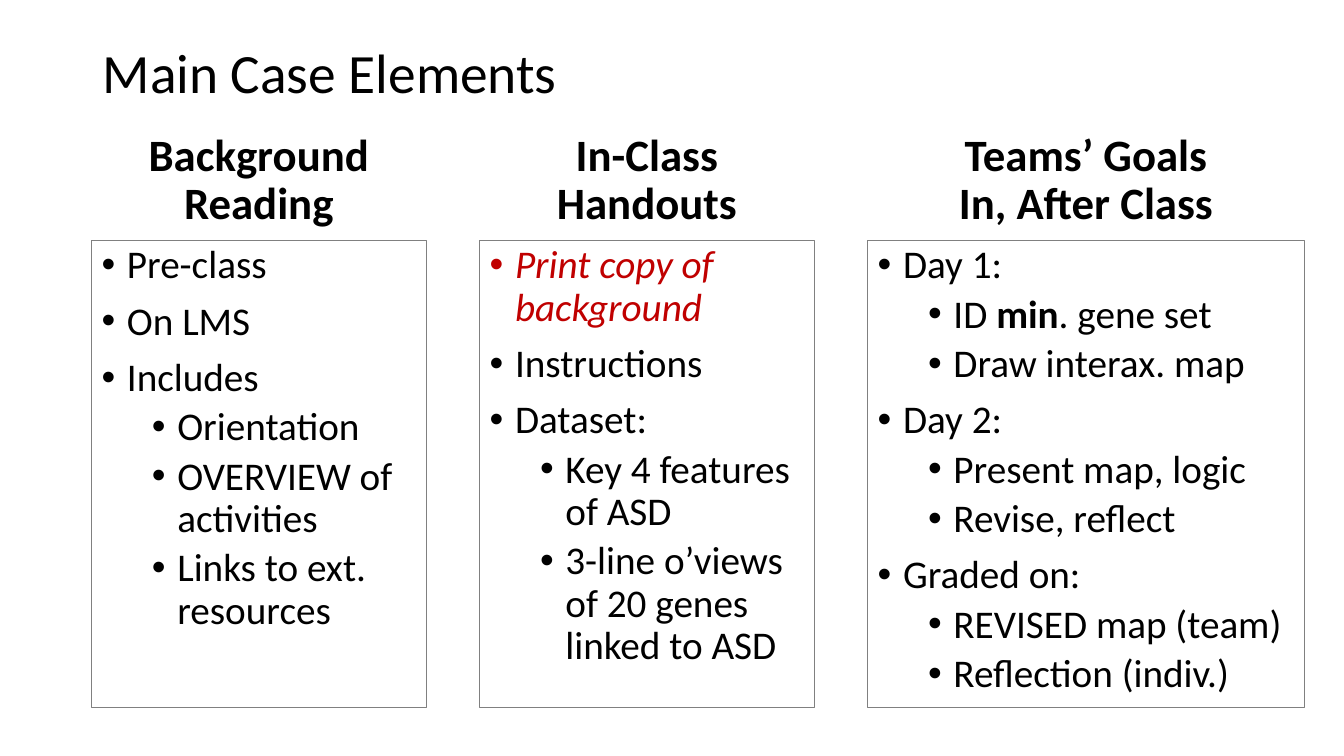
import lxml.etree
import pptx
import pptx.dml.color
import pptx.enum.shapes
import pptx.enum.text
import pptx.oxml.ns
import pptx.util

Cm = pptx.util.Cm
Pt = pptx.util.Pt
RGBColor = pptx.dml.color.RGBColor
ANCHOR = pptx.enum.text.MSO_ANCHOR
ALIGN = pptx.enum.text.PP_ALIGN

BLACK = RGBColor(0x00, 0x00, 0x00)
RED = RGBColor(0xC0, 0x00, 0x00)
GRAY = RGBColor(0x80, 0x80, 0x80)
WHITE = RGBColor(0xFF, 0xFF, 0xFF)
FONT = "Calibri"

LEFT, PITCH = 2.31, 9.78
HEAD_TOP, HEAD_HEIGHT = 3.18, 2.72
LIST_TOP, LIST_HEIGHT = 6.05, 11.79

COLUMNS = [
    (8.43, ["Background Reading"], [
        (0, "Pre-class"),
        (0, "On LMS"),
        (0, "Includes"),
        (1, "Orientation"),
        (1, "OVERVIEW of activities"),
        (1, "Links to ext. resources"),
    ]),
    (8.43, ["In-Class", "Handouts"], [
        (0, [("Print copy of background", {"color": RED, "italic": True})]),
        (0, "Instructions"),
        (0, "Dataset:"),
        (1, "Key 4 features of ASD"),
        (1, "3-line o’views of 20 genes linked to ASD"),
    ]),
    (11, ["Teams’ Goals", "In, After Class"], [
        (0, "Day 1:"),
        (1, [("ID ", {}), ("min", {"bold": True}), (". gene set", {})]),
        (1, "Draw interax. map"),
        (0, "Day 2:"),
        (1, "Present map, logic"),
        (1, "Revise, reflect"),
        (0, "Graded on:"),
        (1, "REVISED map (team)"),
        (1, "Reflection (indiv.)"),
    ]),
]


def add_run(p, text, size, color=BLACK, bold=False, italic=False):
    r = p.add_run()
    r.text = text
    r.font.name = FONT
    r.font.size = Pt(size)
    r.font.color.rgb = color
    r.font.bold = bold
    r.font.italic = italic


def add_bullet(p, level):
    pPr = p._p.get_or_add_pPr()
    pPr.set("marL", str(Cm(0.64 + 1.27 * level)))
    pPr.set("indent", str(-Cm(0.64)))
    qn = pptx.oxml.ns.qn
    lxml.etree.SubElement(pPr, qn("a:buFont")).set("typeface", "Arial")
    lxml.etree.SubElement(pPr, qn("a:buChar")).set("char", "•")


def add_text(s, left, top, width, height, lines, size, anchor, bold=False):
    sp = s.shapes.add_textbox(Cm(left), Cm(top), Cm(width), Cm(height))
    tf = sp.text_frame
    tf.word_wrap = True
    tf.vertical_anchor = anchor
    p = tf.paragraphs[0]
    p.line_spacing = 0.9
    for i, line in enumerate(lines):
        if i:
            p.add_line_break()
        add_run(p, line, size, bold=bold)
    return sp


def add_list(s, left, width, items):
    sp = s.shapes.add_shape(pptx.enum.shapes.MSO_SHAPE.RECTANGLE,
                            Cm(left), Cm(LIST_TOP), Cm(width), Cm(LIST_HEIGHT))
    sp.shadow.inherit = False
    sp.fill.background()
    sp.line.color.rgb = GRAY
    sp.line.width = Pt(0.75)
    tf = sp.text_frame
    tf.word_wrap = True
    tf.vertical_anchor = ANCHOR.TOP
    for i, (level, content) in enumerate(items):
        p = tf.add_paragraph() if i else tf.paragraphs[0]
        add_bullet(p, level)
        p.level = level
        p.alignment = ALIGN.LEFT
        p.line_spacing = 0.9
        if i:
            p.space_before = Pt(5 if level else 10)
        runs = [(content, {})] if isinstance(content, str) else content
        for text, style in runs:
            add_run(p, text, 28, **style)


def main():
    prs = pptx.Presentation()
    prs.slide_width = Cm(33.87)
    prs.slide_height = Cm(19.05)
    s = prs.slides.add_slide(prs.slide_layouts[6])
    title = add_text(s, 2.34, 1.02, 29.21, 1.75, ["Main Case Elements"],
                     39.6, ANCHOR.MIDDLE)
    title.fill.solid()
    title.fill.fore_color.rgb = WHITE
    for i, (width, heading, items) in enumerate(COLUMNS):
        left = LEFT + i * PITCH
        sp = add_text(s, left, HEAD_TOP, width, HEAD_HEIGHT, heading,
                      32, ANCHOR.BOTTOM, bold=True)
        sp.text_frame.paragraphs[0].alignment = ALIGN.CENTER
        add_list(s, left, width, items)
    prs.save("out.pptx")


if __name__ == "__main__":
    main()
